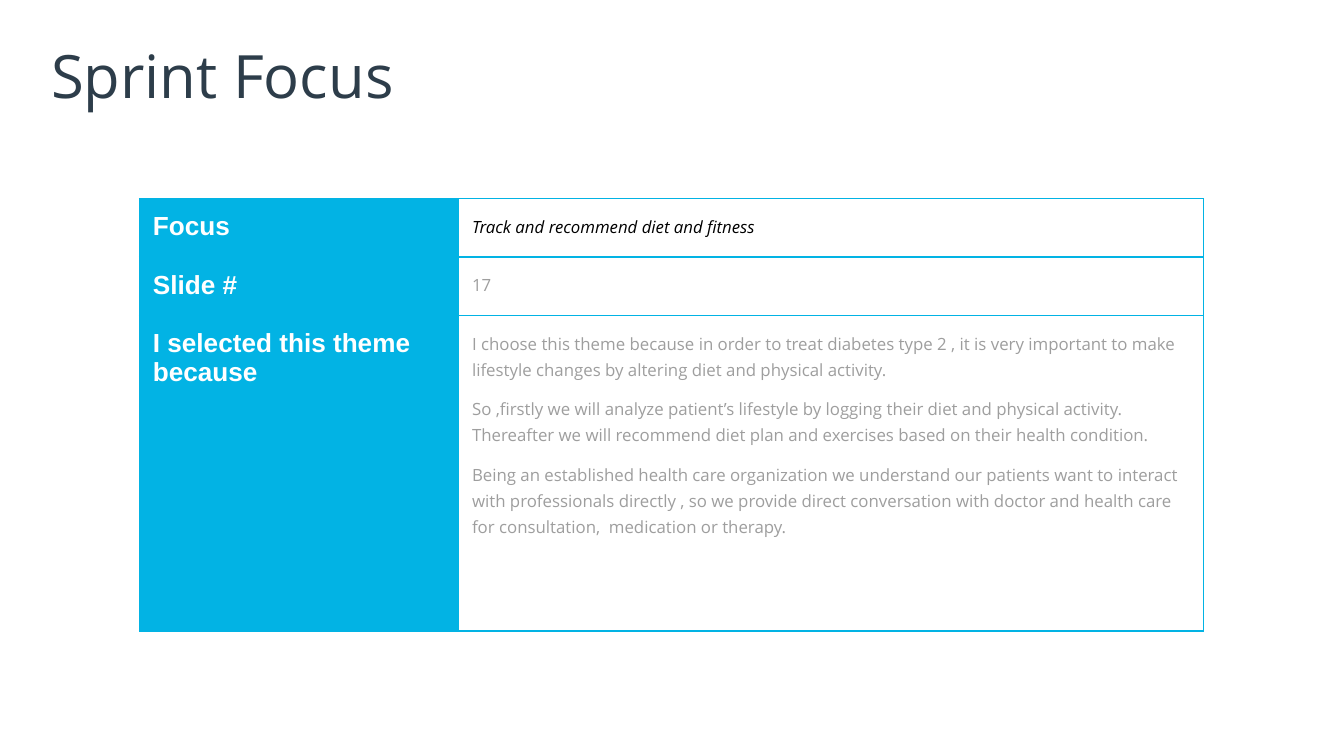
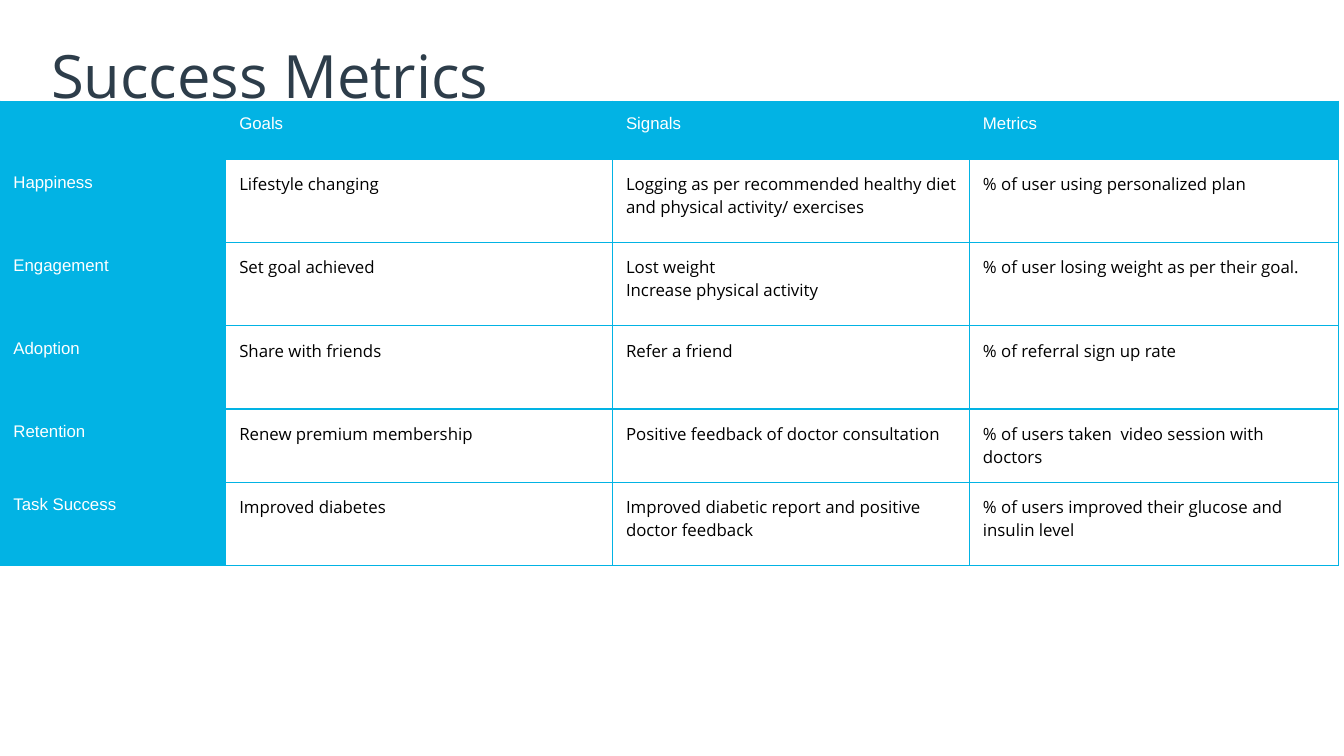
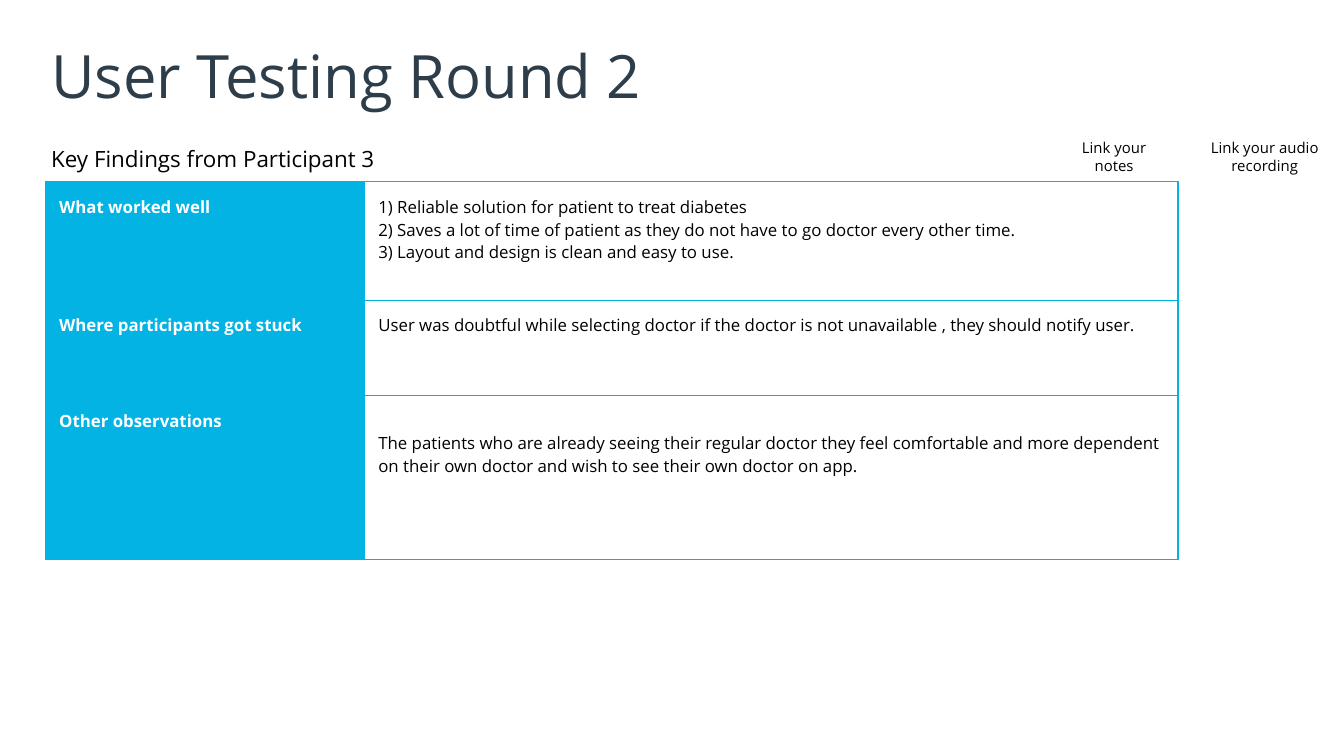
from lxml.etree import SubElement as Sub
from pptx import Presentation
from pptx.dml.color import RGBColor
from pptx.enum.text import MSO_ANCHOR as Anchor, PP_ALIGN as Align
from pptx.oxml.ns import qn
from pptx.util import Pt

BLUE = RGBColor(0x02, 0xB3, 0xE4)
NAVY = RGBColor(0x2D, 0x3D, 0x4A)
GRAY = RGBColor(0x9E, 0x9E, 0x9E)
BLACK = RGBColor(0, 0, 0)
WHITE = RGBColor(255, 255, 255)
SANS, ARIAL = "Open Sans", "Arial"
PAD = 7.2
LEFT = 24.5


def write(frame, text, size, color, face=SANS, bold=False, pad=PAD):
    """Fill a text frame or table cell, one paragraph per line of text."""
    frame.margin_left = frame.margin_right = Pt(pad)
    frame.margin_top = frame.margin_bottom = Pt(pad)
    body = getattr(frame, "text_frame", frame)
    body.text = text
    body.word_wrap = True
    for para in body.paragraphs:
        font = para.font
        font.size, font.name, font.bold = Pt(size), face, bold
        font.color.rgb = color
    return body


def add_grid(slide, left, top, cols, rows, data, label, plain, heads=0):
    """Add a bordered table with a blue first column and `heads` blue rows."""
    shape = slide.shapes.add_table(len(rows), len(cols), Pt(left), Pt(top),
                                   Pt(sum(cols)), Pt(sum(rows)))
    table = shape.table
    table.first_row = table.horz_banding = False
    for col, width in zip(table.columns, cols):
        col.width = Pt(width)
    for row, height in zip(table.rows, rows):
        row.height = Pt(height)
    for i, line in enumerate(data):
        for j, text in enumerate(line):
            cell = table.cell(i, j)
            blue = i < heads or j == 0
            write(cell, text, **(label if blue else plain))
            props = cell._tc.get_or_add_tcPr()
            for side in ("lnL", "lnR", "lnT", "lnB"):
                edge = Sub(props, qn("a:" + side), w=str(Pt(0.75)))
                fill = Sub(edge, qn("a:solidFill"))
                Sub(fill, qn("a:srgbClr"), val=str(BLUE))
            if blue:
                cell.fill.solid()
                cell.fill.fore_color.rgb = BLUE
            else:
                cell.fill.background()
    return table


deck = Presentation()
deck.slide_width, deck.slide_height = Pt(720), Pt(405)

# Shared titles
slides = []
for title, width in (("Sprint Focus", 671), ("Success Metrics", 241),
                     ("User Testing Round 2", 671)):
    slide = deck.slides.add_slide(deck.slide_layouts[6])
    box = slide.shapes.add_textbox(Pt(LEFT), Pt(17.3), Pt(width), Pt(45.4))
    write(box.text_frame, title, 32, NAVY, pad=2.9)
    box.text_frame.vertical_anchor = Anchor.MIDDLE
    slides.append(slide)
focus, success, testing = slides

# Sprint focus
reason = "\n".join((
    "I choose this theme because in order to treat diabetes type 2 , it is very "
    "important to make lifestyle changes by altering diet and physical activity.",
    "So ,firstly we will analyze patient’s lifestyle by logging their diet and "
    "physical activity. Thereafter we will recommend diet plan and exercises "
    "based on their health condition.",
    "Being an established health care organization we understand our patients "
    "want to interact with professionals directly , so we provide direct "
    "conversation with doctor and health care for consultation,  medication or "
    "therapy."))
table = add_grid(
    focus, 74.7, 106.4, (171, 399), (30.2, 30.2, 169.2),
    (("Focus", "Track and recommend diet and fitness"),
     ("Slide #", "17"),
     ("I selected this theme because", reason)),
    dict(size=14, color=WHITE, face=ARIAL, bold=True),
    dict(size=9, color=GRAY))
for i in range(3):
    for para in table.cell(i, 1).text_frame.paragraphs:
        para.line_spacing, para.space_before = 1.15, Pt(7)
theme = table.cell(0, 1).text_frame.paragraphs[0].font
theme.italic, theme.color.rgb = True, BLACK

# Success metrics
add_grid(
    success, 0, 54.2, (121, 207.2, 191.2, 197.8),
    (31.2, 44.6, 44.6, 44.6, 39.2, 44.6),
    (("", "Goals", "Signals", "Metrics"),
     ("Happiness", "Lifestyle changing",
      "Logging as per recommended healthy diet and physical activity/ exercises",
      "% of user using personalized plan"),
     ("Engagement", "Set goal achieved",
      "Lost weight\nIncrease physical activity",
      "% of user losing weight as per their goal."),
     ("Adoption", "Share with friends", "Refer a friend",
      "% of referral sign up rate"),
     ("Retention", "Renew premium membership",
      "Positive feedback of doctor consultation",
      "% of users taken  video session with doctors"),
     ("Task Success", "Improved diabetes",
      "Improved diabetic report and positive doctor feedback",
      "% of users improved their glucose and insulin level")),
    dict(size=9, color=WHITE, face=ARIAL),
    dict(size=9, color=BLACK), heads=1)

# User testing
for left, text in ((638, "Link your audio recording"),
                   (557.3, "Link your\nnotes")):
    box = testing.shapes.add_textbox(Pt(left), Pt(67), Pt(79.2), Pt(34.6))
    for para in write(box.text_frame, text, 8, BLACK).paragraphs:
        para.alignment = Align.CENTER
box = testing.shapes.add_textbox(Pt(LEFT), Pt(72.7), Pt(671), Pt(24.5))
para = write(box.text_frame, "Key Findings from Participant 3", 12, BLACK,
             pad=2.9).paragraphs[0]
para.line_spacing, para.space_before = 1.15, Pt(7)
table = add_grid(
    testing, LEFT, 97.4, (171, 435.6), (63.6, 51, 87.8),
    (("What worked well",
      "1) Reliable solution for patient to treat diabetes\n"
      "2) Saves a lot of time of patient as they do not have to go doctor every "
      "other time.\n"
      "3) Layout and design is clean and easy to use."),
     ("Where participants got stuck",
      "User was doubtful while selecting doctor if the doctor is not "
      "unavailable , they should notify user."),
     ("Other observations",
      "The patients who are already seeing their regular doctor they feel "
      "comfortable and more dependent on their own doctor and wish to see their "
      "own doctor on app.")),
    dict(size=9, color=WHITE, bold=True),
    dict(size=9, color=BLACK))
table.cell(2, 1).margin_top = Pt(PAD + 12)

deck.save("out.pptx")
